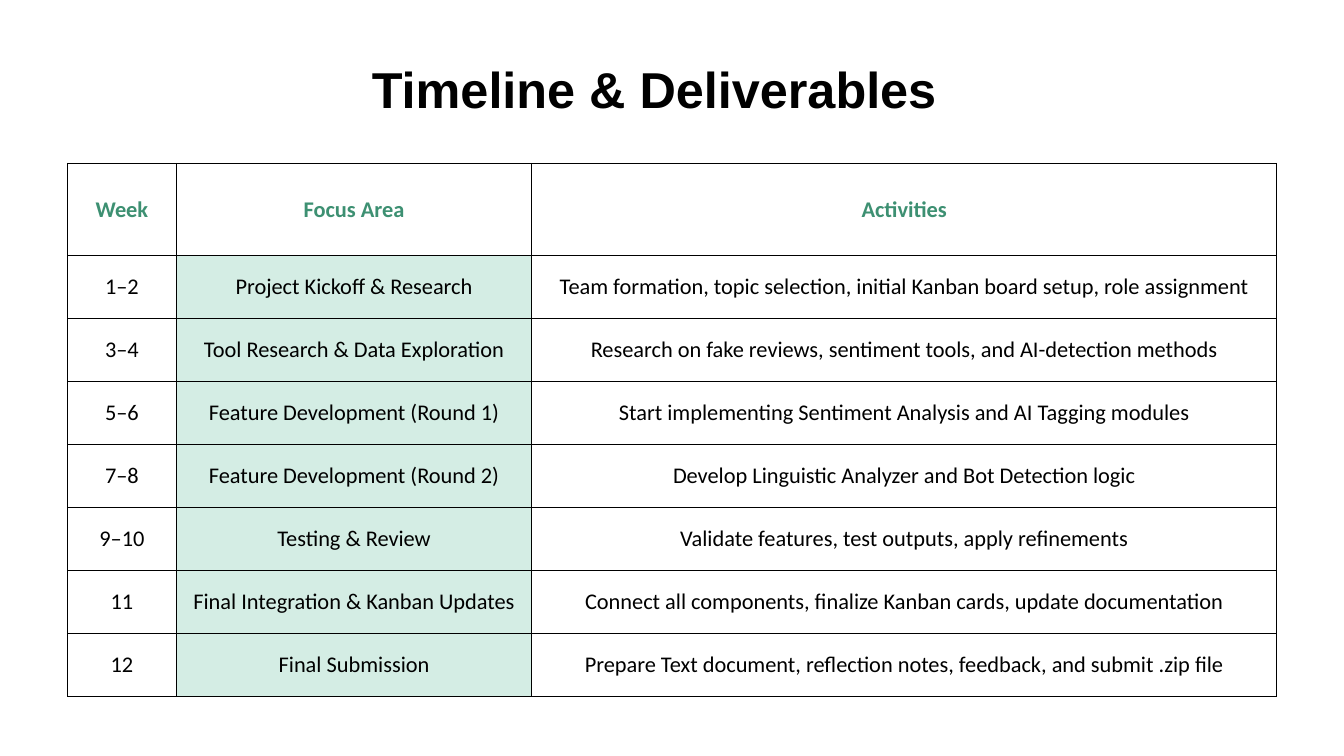
from dataclasses import dataclass
from typing import Any

from lxml.etree import SubElement
from pptx import Presentation
from pptx.dml.color import RGBColor
from pptx.enum.text import MSO_ANCHOR, PP_ALIGN
from pptx.oxml.ns import qn
from pptx.slide import Slide
from pptx.table import _Cell
from pptx.text.text import TextFrame
from pptx.util import Pt


@dataclass(frozen=True)
class Theme:
    ink: str = "000000"
    heading: str = "3D9072"
    focus_fill: str = "D4EDE4"
    title_font: str = "Arial"
    table_font: str = "Calibri"
    title_size: float = 36
    table_size: float = 16
    border_width: float = 0.5


@dataclass(frozen=True)
class Phase:
    week: str
    focus_area: str
    activities: str

    def texts(self) -> tuple[str, str, str]:
        return self.week, self.focus_area, self.activities


@dataclass(frozen=True)
class TextStyle:
    font: str
    size: float
    color: str
    bold: bool
    line_spacing: float = 1.0


THEME = Theme()
TITLE_STYLE = TextStyle(THEME.title_font, THEME.title_size, THEME.ink, True, 0.9)
HEADER_STYLE = TextStyle(THEME.table_font, THEME.table_size, THEME.heading, True)
BODY_STYLE = TextStyle(THEME.table_font, THEME.table_size, THEME.ink, False)

COLUMN_WIDTHS = (77.8, 253.9, 532.1)
HEADER_HEIGHT = 65.6
BODY_HEIGHT = 45
FOCUS_COLUMN = 1

HEADER = Phase("Week", "Focus Area", "Activities")
PHASES = (
    Phase("1–2", "Project Kickoff & Research",
          "Team formation, topic selection, initial Kanban board setup, role assignment"),
    Phase("3–4", "Tool Research & Data Exploration",
          "Research on fake reviews, sentiment tools, and AI-detection methods"),
    Phase("5–6", "Feature Development (Round 1)",
          "Start implementing Sentiment Analysis and AI Tagging modules"),
    Phase("7–8", "Feature Development (Round 2)",
          "Develop Linguistic Analyzer and Bot Detection logic"),
    Phase("9–10", "Testing & Review",
          "Validate features, test outputs, apply refinements"),
    Phase("11", "Final Integration & Kanban Updates",
          "Connect all components, finalize Kanban cards, update documentation"),
    Phase("12", "Final Submission",
          "Prepare Text document, reflection notes, feedback, and submit .zip file"),
)


def apply_format(target: Any, values: dict[str, Any]) -> None:
    for name, value in values.items():
        setattr(target, name, value)


def write_text(frame: TextFrame, text: str, style: TextStyle) -> None:
    paragraph = frame.paragraphs[0]
    apply_format(paragraph, {
        "alignment": PP_ALIGN.CENTER,
        "line_spacing": style.line_spacing,
    })
    run = paragraph.add_run()
    run.text = text
    apply_format(run.font, {
        "name": style.font,
        "size": Pt(style.size),
        "bold": style.bold,
    })
    run.font.color.rgb = RGBColor.from_string(style.color)


def draw_borders(cell: _Cell) -> None:
    properties = cell._tc.get_or_add_tcPr()
    for side in ("lnL", "lnR", "lnT", "lnB"):
        line = SubElement(properties, qn(f"a:{side}"), w=str(Pt(THEME.border_width)))
        fill = SubElement(line, qn("a:solidFill"))
        SubElement(fill, qn("a:srgbClr"), val=THEME.ink)


def draw_cell(cell: _Cell, text: str, style: TextStyle, filled: bool) -> None:
    apply_format(cell, {
        "vertical_anchor": MSO_ANCHOR.MIDDLE,
        "margin_left": Pt(0.7),
        "margin_right": Pt(0.7),
        "margin_top": Pt(0.7),
        "margin_bottom": Pt(0),
    })
    draw_borders(cell)
    if filled:
        cell.fill.solid()
        cell.fill.fore_color.rgb = RGBColor.from_string(THEME.focus_fill)
    else:
        cell.fill.background()
    write_text(cell.text_frame, text, style)


def draw_title(slide: Slide) -> None:
    title = slide.shapes.add_textbox(Pt(48), Pt(43.2), Pt(838.8), Pt(89.3))
    apply_format(title.text_frame, {
        "word_wrap": True,
        "vertical_anchor": MSO_ANCHOR.TOP,
    })
    write_text(title.text_frame, "Timeline & Deliverables", TITLE_STYLE)


def draw_timeline(slide: Slide) -> None:
    rows = (HEADER, *PHASES)
    heights = (HEADER_HEIGHT, *[BODY_HEIGHT] * len(PHASES))
    table = slide.shapes.add_table(
        len(rows), len(COLUMN_WIDTHS), Pt(48.2), Pt(116.6),
        Pt(sum(COLUMN_WIDTHS)), Pt(sum(heights)),
    ).table
    apply_format(table, {"first_row": False, "horz_banding": False})
    for column, width in zip(table.columns, COLUMN_WIDTHS):
        column.width = Pt(width)
    for row_index, (phase, height) in enumerate(zip(rows, heights)):
        table.rows[row_index].height = Pt(height)
        is_header = phase is HEADER
        style = HEADER_STYLE if is_header else BODY_STYLE
        for column_index, text in enumerate(phase.texts()):
            filled = column_index == FOCUS_COLUMN and not is_header
            draw_cell(table.cell(row_index, column_index), text, style, filled)


def main() -> None:
    presentation = Presentation()
    apply_format(presentation, {"slide_width": Pt(960), "slide_height": Pt(540)})
    slide = presentation.slides.add_slide(presentation.slide_layouts[6])
    draw_title(slide)
    draw_timeline(slide)
    presentation.save("out.pptx")


if __name__ == "__main__":
    main()
